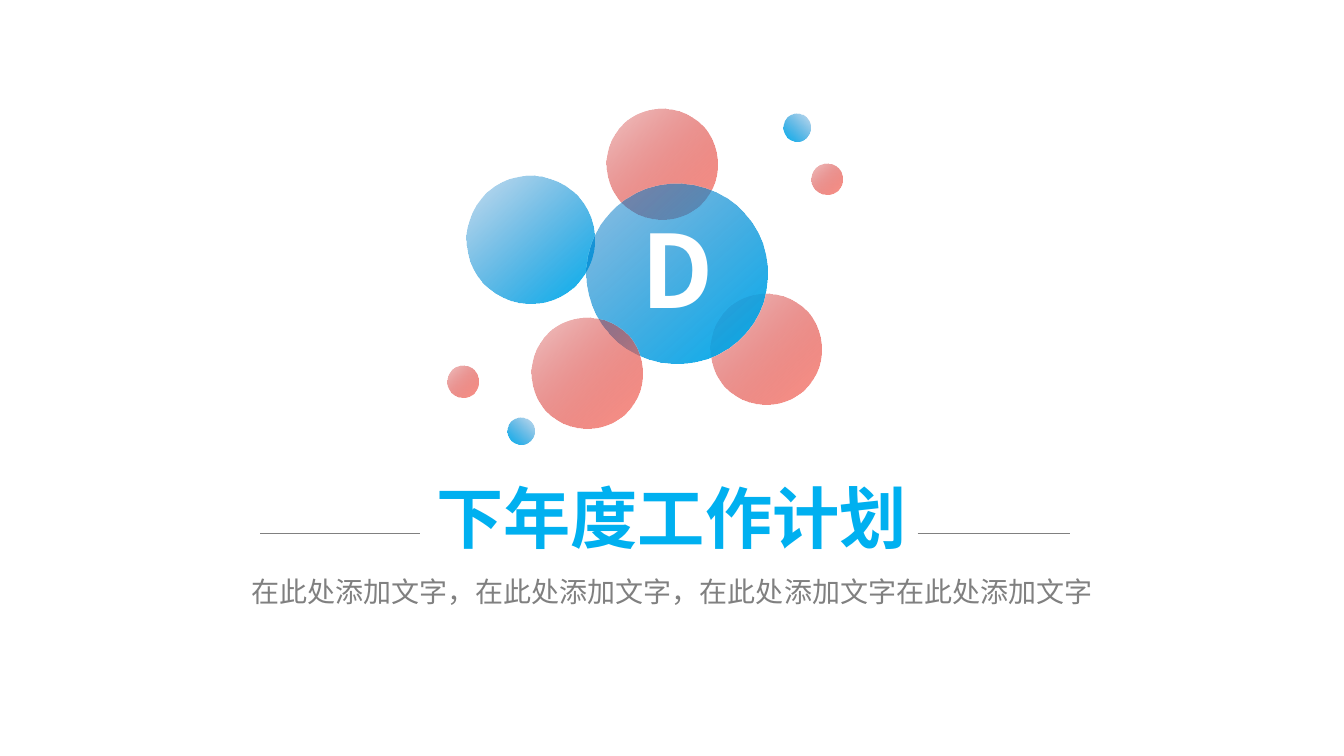
from dataclasses import dataclass

from lxml.etree import SubElement
from pptx import Presentation
from pptx.dml.color import RGBColor
from pptx.enum.shapes import MSO_CONNECTOR, MSO_SHAPE
from pptx.enum.text import MSO_ANCHOR, PP_ALIGN
from pptx.oxml.ns import qn
from pptx.util import Inches, Pt

FONT = "Noto Sans CJK SC"
WHITE = RGBColor(0xFF, 0xFF, 0xFF)
GRAY = RGBColor(0x80, 0x80, 0x80)
SKY = RGBColor(0x00, 0xB0, 0xF0)
BLUE = RGBColor(0x00, 0x70, 0xC0)
RED = RGBColor(0xC0, 0x00, 0x00)
SALMON = RGBColor(0xFE, 0x97, 0x8C)


@dataclass
class Bubble:
    left: float
    top: float
    size: float
    start: RGBColor
    end: RGBColor
    opacity: int = 22  # percent, at the start of the gradient
    rotation: int = 273
    angle: int = 225  # counter-clockwise


@dataclass
class Label:
    text: str
    left: float
    top: float
    width: float
    height: float
    size: int
    color: RGBColor
    bold: bool = False
    spacing: int = 0  # hundredths of a point


BUBBLES = [
    Bubble(6.02, 1.08, 1.1, RED, SALMON),
    Bubble(7.05, 2.91, 1.1, RED, SALMON),
    Bubble(4.63, 1.74, 1.27, BLUE, SKY),
    Bubble(5.82, 1.82, 1.79, BLUE, SKY, opacity=44),
    Bubble(7.77, 1.13, 0.27, BLUE, SKY, rotation=87, angle=315),
    Bubble(8.05, 1.62, 0.31, RED, SALMON),
    Bubble(5.27, 3.15, 1.1, RED, SALMON),
    Bubble(5.03, 4.14, 0.27, BLUE, SKY, rotation=87, angle=315),
    Bubble(4.44, 3.63, 0.31, RED, SALMON),
]
LETTER = Label("D", 5.84, 2.01, 1.75, 1.31, 72, WHITE, bold=True, spacing=-300)
TITLE = Label("下年度工作计划", 3.85, 4.67, 5.62, 0.91, 48, SKY, bold=True)
SUBTITLE = Label("在此处添加文字，在此处添加文字，在此处添加文字在此处添加文字",
                 1.43, 5.65, 10.47, 0.44, 20, GRAY)
RULE_TOP = 5.29
RULES = [(2.58, 4.17), (9.1, 10.61)]


def add_bubble(slide, bubble: Bubble) -> None:
    circle = slide.shapes.add_shape(
        MSO_SHAPE.OVAL, Inches(bubble.left), Inches(bubble.top),
        Inches(bubble.size), Inches(bubble.size))
    circle.shadow.inherit = False
    circle.line.fill.background()
    circle.rotation = bubble.rotation
    circle.fill.gradient()
    circle.fill.gradient_angle = bubble.angle
    for stop, color in zip(circle.fill.gradient_stops, (bubble.start, bubble.end)):
        stop.color.rgb = color
    first_color = next(circle._element.spPr.iter(qn("a:srgbClr")))
    SubElement(first_color, qn("a:alpha")).set("val", str(bubble.opacity * 1000))


def write_label(box, label: Label) -> None:
    box.left, box.top = Inches(label.left), Inches(label.top)
    box.width, box.height = Inches(label.width), Inches(label.height)
    frame = box.text_frame
    frame.text = label.text
    frame.word_wrap = True
    frame.vertical_anchor = MSO_ANCHOR.MIDDLE
    para = frame.paragraphs[0]
    para.alignment = PP_ALIGN.CENTER
    para.line_spacing = 1.0
    span = para.runs[0]
    span.font.name = FONT
    span.font.size = Pt(label.size)
    span.font.bold = label.bold
    span.font.color.rgb = label.color
    properties = span.font._element
    SubElement(properties, qn("a:ea")).set("typeface", FONT)
    if label.spacing:
        properties.set("spc", str(label.spacing))


def add_label(slide, label: Label) -> None:
    write_label(slide.shapes.add_textbox(0, 0, 0, 0), label)


def add_rule(slide, start: float, end: float) -> None:
    rule = slide.shapes.add_connector(
        MSO_CONNECTOR.STRAIGHT, Inches(start), Inches(RULE_TOP),
        Inches(end), Inches(RULE_TOP))
    rule.line.color.rgb = GRAY
    rule.line.width = Pt(0.75)
    SubElement(rule._element.spPr, qn("a:effectLst"))


def main() -> None:
    deck = Presentation()
    deck.slide_width, deck.slide_height = Inches(13.33), Inches(7.5)
    slide = deck.slides.add_slide(deck.slide_layouts[5])

    # Bubble cluster with the section letter
    for bubble in BUBBLES:
        add_bubble(slide, bubble)
    add_label(slide, LETTER)

    # Title between two rules, subtitle below
    write_label(slide.shapes.title, TITLE)
    add_label(slide, SUBTITLE)
    for start, end in RULES:
        add_rule(slide, start, end)

    deck.save("out.pptx")


if __name__ == "__main__":
    main()
